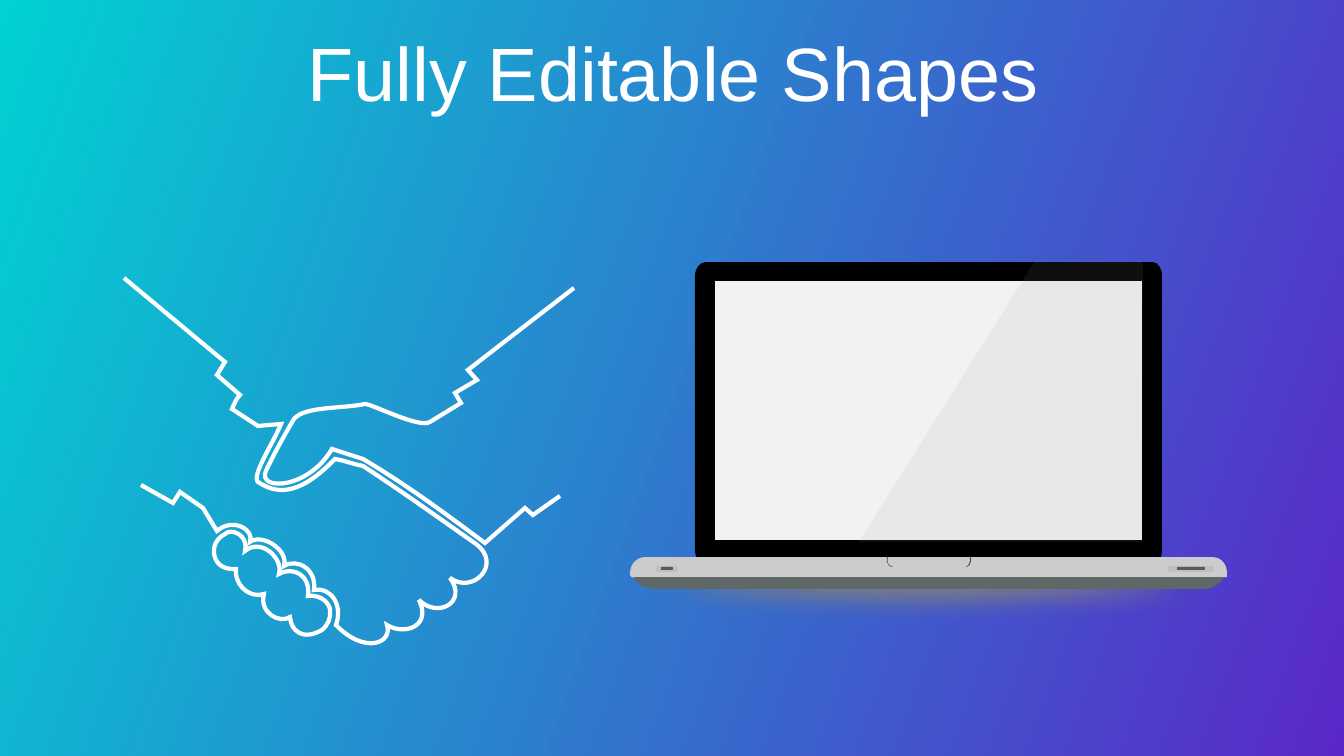
from lxml.etree import SubElement
from pptx import Presentation
from pptx.dml.color import RGBColor
from pptx.enum.shapes import MSO_SHAPE as SHAPE
from pptx.enum.text import MSO_ANCHOR as ANCHOR, PP_ALIGN as ALIGN
from pptx.oxml.ns import qn
from pptx.util import Pt

PX = 914400 / 100.8

THEME = {
    "font": "Arial", "title_pt": 54, "line_pt": 3,
    "white": "FFFFFF", "bg_start": "01D1D3", "bg_end": "5A28C8", "bg_angle": 340,
    "shadow": "808080", "underside": "5F6767", "lid": "000000", "screen": "F2F2F2",
    "base": "CCCCCC", "notch": "4D4D4D", "port": "BFBFBF", "slot": "595959",
    "glare": "999999", "glare_alpha": 10, "soft_edge_px": 25, "port_round": 0.28,
}

SLIDE = (1344, 756)
TITLE = ("Fully Editable Shapes", (35, 37, 1276, 80))
FLOOR_SHADOW = (559, 549, 736, 75)

LAPTOP = [
    ("underside", [[
        (1207, 589), (1207, 589, 1219, 587, 1224, 577), (1224, 574, 1221, 572, 1218, 572),
        (647, 574), (639, 574), (636, 574, 634, 576, 634, 579),
        (637, 585, 646, 588, 649, 588), (651, 589)]]),
    ("lid", [[
        (1162, 551), (1162, 558, 1158, 565, 1152, 565), (706, 565),
        (700, 565, 695, 558, 695, 551), (695, 276), (695, 268, 700, 262, 706, 262),
        (1152, 262), (1158, 262, 1162, 268, 1162, 276)]]),
    ("screen", [[(715, 281), (1142, 281), (1142, 540), (715, 540)]]),
    ("base", [[
        (646, 557), (1212, 557), (1221, 557, 1227, 564, 1227, 573), (1227, 576),
        (1227, 576, 1228, 578, 1222, 577), (638, 577), (637, 577, 636, 577, 635, 577),
        (634, 578, 631, 578, 630, 575), (630, 572), (631, 563, 637, 557, 646, 557)]]),
    ("notch", [
        [(887, 557), (888, 557), (888, 557, 886, 565, 891, 566), (893, 567), (892, 567),
         (885, 565, 887, 557, 887, 557)],
        [(970, 557), (971, 557), (972, 565, 968, 567, 966, 567), (965, 567), (966, 567),
         (968, 566, 971, 563, 970, 557)]]),
]
PORTS = [
    ("port", (656, 566, 21, 6)), ("slot", (661, 567, 12, 3)),
    ("port", (1168, 566, 46, 6)), ("slot", (1177, 567, 28, 3)),
]
GLARE = [[(1035, 261), (1143, 261), (1142, 542), (859, 542)]]

RIGHT_HAND = [
    (574, 288), (468, 370), (477, 380), (455, 393), (461, 403), (430, 422),
    (420, 429, 372, 404, 365, 404), (342, 409, 305, 406, 294, 419),
    (283, 438, 276, 450, 266, 471), (257, 491, 308, 490, 332, 449), (363, 459),
    (407, 485, 446, 514, 485, 543), (525, 508), (533, 515), (560, 496)]
LEFT_HAND = [
    (124, 278), (225, 362), (217, 375), (240, 395), (237, 398, 235, 402, 232, 409),
    (258, 426), (281, 424), (274, 442, 251, 476, 258, 482),
    (280, 497, 303, 492, 335, 459), (346, 461, 349, 463, 363, 466),
    (407, 495, 436, 516, 476, 544), (503, 564, 473, 595, 450, 578),
    (468, 602, 438, 619, 419, 600), (432, 626, 405, 636, 387, 625),
    (393, 643, 365, 655, 336, 625), (343, 606, 332, 587, 314, 590),
    (317, 569, 297, 558, 284, 566), (289, 550, 262, 533, 250, 542),
    (255, 530, 233, 517, 217, 531), (203, 508), (180, 492), (173, 503), (141, 485)]
FINGERS = [
    (214, 553), (215, 562, 221, 570, 236, 569), (234, 581, 246, 599, 264, 594),
    (259, 613, 280, 624, 290, 617), (291, 631, 303, 641, 322, 630),
    (328, 625, 331, 618, 330, 611), (331, 606, 323, 594, 308, 596),
    (311, 575, 293, 566, 279, 574), (284, 560, 262, 537, 245, 551),
    (249, 534, 230, 528, 225, 534), (221, 536, 213, 542, 214, 553)]
HANDSHAKE = [(RIGHT_HAND, False), (LEFT_HAND, False), (FINGERS, True)]


def emu(values):
    return [round(v * PX) for v in values]


def color(name):
    return RGBColor.from_string(THEME[name])


def bend(sp, contours):
    track = next(sp._element.iter(qn("a:path")))
    lines = iter(track.findall(qn("a:lnTo")))
    for contour in contours:
        for step in contour[1:]:
            parts = [next(lines) for _ in range(len(step) // 2)]
            if len(parts) == 1:
                continue
            curve = SubElement(track, qn("a:cubicBezTo"))
            parts[0].addprevious(curve)
            for part in parts:
                curve.append(part[0])
                track.remove(part)


def outline(shapes, contours, close=True):
    builder = None
    for contour in contours:
        start = emu(contour[0])
        if builder is None:
            builder = shapes.build_freeform(*start, scale=1.0)
        else:
            builder.move_to(*start)
        points = [emu(step[i:i + 2]) for step in contour[1:] for i in range(0, len(step), 2)]
        builder.add_line_segments(points, close=close)
    sp = builder.convert_to_shape()
    bend(sp, contours)
    return sp


def paint(sp, name):
    sp.shadow.inherit = False
    sp.fill.solid()
    sp.fill.fore_color.rgb = color(name)
    sp.line.fill.background()
    return sp


def stroke(sp):
    sp.shadow.inherit = False
    sp.fill.background()
    sp.line.color.rgb = color("white")
    sp.line.width = Pt(THEME["line_pt"])
    SubElement(sp._element.spPr.find(qn("a:ln")), qn("a:miter"), lim="800000")


def add_background(s):
    fill = s.background.fill
    fill.gradient()
    fill.gradient_angle = THEME["bg_angle"]
    for stop, position, name in zip(fill.gradient_stops, (0, 1), ("bg_start", "bg_end")):
        stop.position = position
        stop.color.rgb = color(name)


def add_title(s):
    text, box = TITLE
    tf = s.shapes.add_textbox(*emu(box)).text_frame
    tf.word_wrap = True
    tf.vertical_anchor = ANCHOR.MIDDLE
    p = tf.paragraphs[0]
    p.alignment, p.line_spacing = ALIGN.CENTER, 0.9
    r = p.add_run()
    r.text = text
    for key, value in {"name": THEME["font"], "size": Pt(THEME["title_pt"])}.items():
        setattr(r.font, key, value)
    r.font.color.rgb = color("white")


def add_laptop(s):
    shapes = s.shapes.add_group_shape().shapes
    sp = paint(shapes.add_shape(SHAPE.OVAL, *emu(FLOOR_SHADOW)), "shadow")
    effects = sp._element.spPr.find(qn("a:effectLst"))
    SubElement(effects, qn("a:softEdge"), rad=str(round(THEME["soft_edge_px"] * PX)))
    for name, contours in LAPTOP:
        paint(outline(shapes, contours), name)
    for name, box in PORTS:
        sp = paint(shapes.add_shape(SHAPE.ROUNDED_RECTANGLE, *emu(box)), name)
        sp.adjustments[0] = THEME["port_round"]
    sp = paint(outline(shapes, GLARE), "glare")
    tint = sp._element.spPr.find(qn("a:solidFill"))[0]
    SubElement(tint, qn("a:alpha"), val=str(THEME["glare_alpha"] * 1000))


def add_handshake(s):
    shapes = s.shapes.add_group_shape().shapes
    for contour, close in HANDSHAKE:
        stroke(outline(shapes, [contour], close))


def main():
    prs = Presentation()
    prs.slide_width, prs.slide_height = emu(SLIDE)
    s = prs.slides.add_slide(prs.slide_layouts[6])
    add_background(s)
    add_title(s)
    add_laptop(s)
    add_handshake(s)
    prs.save("out.pptx")


if __name__ == "__main__":
    main()
